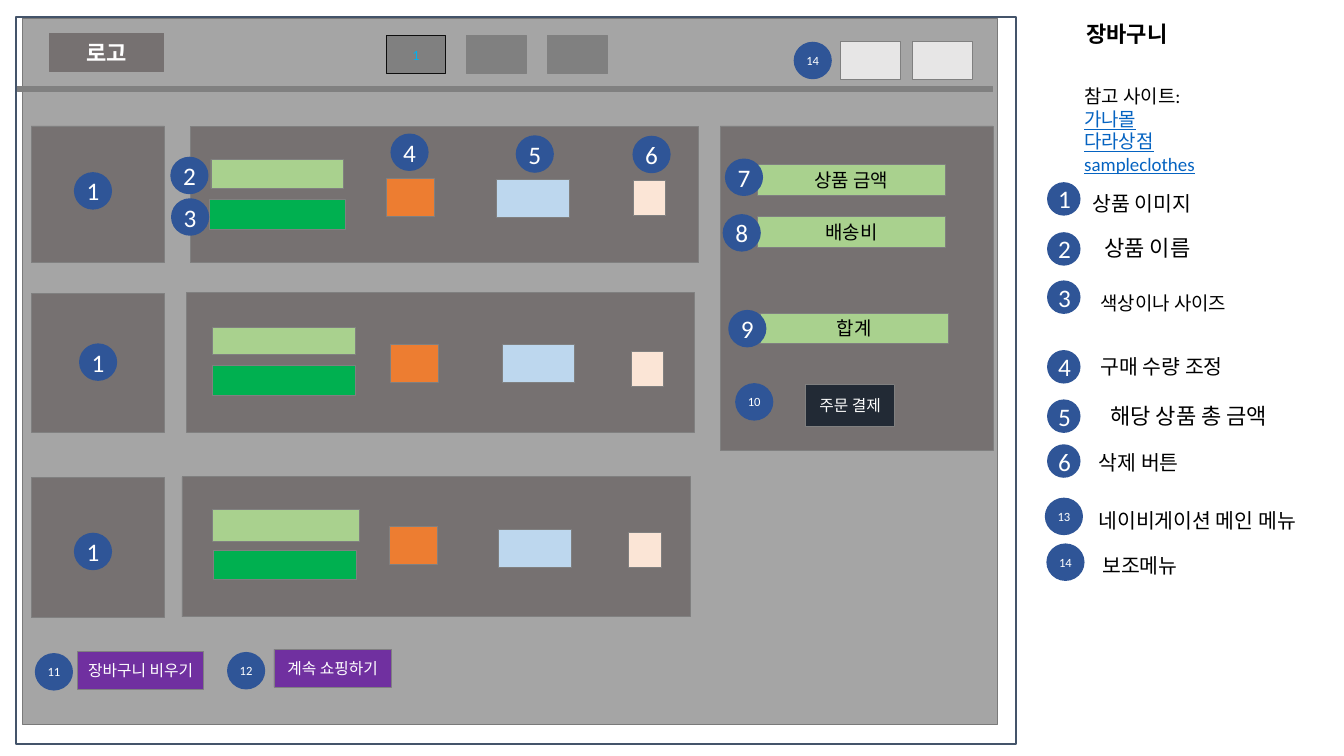
import typing

import lxml.etree
import pptx
import pptx.dml.color
import pptx.enum.shapes
import pptx.enum.text
import pptx.oxml.ns
import pptx.util

Cm, Pt = pptx.util.Cm, pptx.util.Pt
RGB = pptx.dml.color.RGBColor
Align = pptx.enum.text.PP_ALIGN
Anchor = pptx.enum.text.MSO_ANCHOR
Preset = pptx.enum.shapes.MSO_SHAPE

BLACK = RGB(0x00, 0x00, 0x00)
WHITE = RGB(0xFF, 0xFF, 0xFF)
PAGE_GRAY = RGB(0xA5, 0xA5, 0xA5)
PAGE_EDGE = RGB(0x7A, 0x7A, 0x7A)
FRAME_NAVY = RGB(0x44, 0x54, 0x6A)
PANEL_GRAY = RGB(0x76, 0x71, 0x71)
MID_GRAY = RGB(0x80, 0x80, 0x80)
MENU_GRAY = RGB(0xE7, 0xE6, 0xE6)
NAV_EDGE = RGB(0x0D, 0x0D, 0x0D)
NAV_TEXT = RGB(0x00, 0xB0, 0xF0)
BADGE_BLUE = RGB(0x2F, 0x55, 0x97)
NAME_GREEN = RGB(0xA9, 0xD1, 0x8E)
OPTION_GREEN = RGB(0x00, 0xB0, 0x50)
QUANTITY_ORANGE = RGB(0xED, 0x7D, 0x31)
PRICE_BLUE = RGB(0xBD, 0xD7, 0xEE)
DELETE_PEACH = RGB(0xFB, 0xE5, 0xD6)
BUTTON_PURPLE = RGB(0x70, 0x30, 0xA0)
PAY_NAVY = RGB(0x22, 0x2A, 0x35)
LINK_BLUE = RGB(0x05, 0x63, 0xC1)


class Box(typing.NamedTuple):
    """Left, top, width and height in centimetres."""
    left: float
    top: float
    width: float
    height: float

    def lengths(self) -> list:
        """Return the four values as lengths."""
        return [Cm(value) for value in self]


class CartRow(typing.NamedTuple):
    """Places of the parts of one product in the cart."""
    image: Box
    image_badge: tuple
    panel: Box
    name: Box
    option: Box
    quantity: tuple
    price: tuple
    delete: tuple


class LegendEntry(typing.NamedTuple):
    """A numbered explanation beside the wireframe."""
    number: int
    badge: tuple
    diameter: tuple
    label: str
    place: Box
    size: int = 26
    align: Align = Align.LEFT
    wrap: bool = True


BADGE = (1.63, 1.6)
SMALL_BADGE = (1.42, 1.42)
MENU_ITEM = (2.67, 1.7)
AMOUNT = (8.43, 1.37)

CART_ROWS = [
    CartRow(Box(1.4, 5.64, 5.97, 6.12), (3.35, 7.75), Box(8.53, 5.66, 22.76, 6.1),
            Box(9.45, 7.14, 5.94, 1.3), Box(9.4, 8.94, 6.07, 1.32),
            (17.32, 8), (22.25, 8.03), (28.37, 8.1)),
    CartRow(Box(1.4, 13.13, 5.97, 6.22), (3.58, 15.42), Box(8.36, 13.11, 22.76, 6.25),
            Box(9.53, 14.66, 6.4, 1.22), Box(9.53, 16.38, 6.4, 1.32),
            (17.48, 15.42), (22.5, 15.44), (28.27, 15.75)),
    CartRow(Box(1.4, 21.39, 5.97, 6.27), (3.35, 23.9), Box(8.15, 21.36, 22.76, 6.27),
            Box(9.53, 22.83, 6.58, 1.42), Box(9.55, 24.64, 6.4, 1.32),
            (17.45, 23.57), (22.33, 23.72), (28.17, 23.85)),
]

PART_BADGES = {
    2: (7.67, 7.06), 3: (7.7, 8.92), 4: (17.53, 6.02), 5: (23.14, 6.1),
    6: (28.37, 6.12), 7: (32.51, 7.14), 8: (32.41, 9.63), 9: (32.66, 13.92),
    10: (32.97, 17.2), 11: (1.6, 29.29), 12: (10.21, 29.24), 14: (35.59, 1.91),
}

LEGEND = [
    LegendEntry(1, (46.94, 8.2), SMALL_BADGE, "상품 이미지", Box(48.69, 8.43, 8.33, 1.37)),
    LegendEntry(2, (46.94, 10.44), SMALL_BADGE, "상품 이름",
                Box(48.54, 10.39, 5.72, 1.45), 28, Align.CENTER),
    LegendEntry(3, (46.94, 12.6), SMALL_BADGE, "색상이나 사이즈",
                Box(48.77, 12.93, 6.68, 1.27), 24, Align.CENTER, False),
    LegendEntry(4, (46.94, 15.72), SMALL_BADGE, "구매 수량 조정", Box(49.05, 15.75, 9.12, 1.37)),
    LegendEntry(5, (46.94, 17.93), SMALL_BADGE, "해당 상품 총 금액",
                Box(48.54, 17.88, 9.42, 1.45), 28, Align.CENTER),
    LegendEntry(6, (46.94, 19.94), SMALL_BADGE, "삭제 버튼", Box(48.97, 20.02, 4.62, 1.37)),
    LegendEntry(13, (46.84, 22.33), BADGE, "네이비게이션 메인 메뉴", Box(48.95, 22.63, 10.9, 1.37)),
    LegendEntry(14, (46.91, 24.38), BADGE, "보조메뉴", Box(49.12, 24.66, 5.03, 1.37)),
]


def write(paragraph, text: str, *, size: float, color: RGB = BLACK, bold: bool = False,
          underline: bool = False, align: Align = Align.LEFT) -> None:
    """Add formatted text to a paragraph."""
    paragraph.alignment = align
    run = paragraph.add_run()
    run.text = text
    font = run.font
    font.name, font.size, font.bold, font.underline = "Calibri", Pt(size), bold, underline
    font.color.rgb = color


def draw(slide, box: Box, fill: typing.Optional[RGB], *, edge: RGB = MID_GRAY,
         edge_width: float = 1, preset: Preset = Preset.RECTANGLE, text: str = "",
         **text_format) -> None:
    """Draw a preset shape, with centred text if there is any."""
    shape = slide.shapes.add_shape(preset, *box.lengths())
    shape.shadow.inherit = False
    if fill is None:
        shape.fill.background()
    else:
        shape.fill.solid()
        shape.fill.fore_color.rgb = fill
    shape.line.color.rgb = edge
    shape.line.width = Pt(edge_width)
    if text:
        shape.text_frame.vertical_anchor = Anchor.MIDDLE
        write(shape.text_frame.paragraphs[0], text, align=Align.CENTER, **text_format)


def draw_badge(slide, number: int, place: tuple, diameter: tuple = BADGE) -> None:
    """Draw a numbered circle; two digits are set smaller."""
    draw(slide, Box(*place, *diameter), BADGE_BLUE, edge=BADGE_BLUE, edge_width=2.25,
         preset=Preset.OVAL, text=str(number), size=32 if number < 10 else 16, color=WHITE)


def draw_header(slide) -> None:
    """Draw the page, its frame, the logo field and both menus."""
    draw(slide, Box(1, 0.81, 43.66, 31.62), PAGE_GRAY, edge=PAGE_EDGE)
    draw(slide, Box(0.71, 0.76, 44.81, 32.56), None, edge=FRAME_NAVY, edge_width=3)
    draw(slide, Box(2.21, 1.5, 5.13, 1.7), PANEL_GRAY, edge=PANEL_GRAY,
         text="로고", size=28, color=WHITE, bold=True)
    draw(slide, Box(0.79, 3.86, 43.66, 0.25), MID_GRAY)
    draw(slide, Box(17.3, 1.6, *MENU_ITEM), MID_GRAY, edge=NAV_EDGE,
         text="1", size=18, color=NAV_TEXT)
    for left in (20.9, 24.54):
        draw(slide, Box(left, 1.6, *MENU_ITEM), MID_GRAY)
    for left in (37.64, 40.89):
        draw(slide, Box(left, 1.85, *MENU_ITEM), MENU_GRAY)


def draw_cart_row(slide, row: CartRow) -> None:
    """Draw one product with its controls."""
    for box, fill in ((row.image, PANEL_GRAY), (row.panel, PANEL_GRAY),
                      (row.name, NAME_GREEN), (row.option, OPTION_GREEN),
                      (Box(*row.quantity, 2.16, 1.7), QUANTITY_ORANGE),
                      (Box(*row.price, 3.25, 1.7), PRICE_BLUE),
                      (Box(*row.delete, 1.45, 1.57), DELETE_PEACH)):
        draw(slide, box, fill)
    draw_badge(slide, 1, row.image_badge)


def draw_order(slide) -> None:
    """Draw the order summary and the buttons."""
    draw(slide, Box(32.26, 5.64, 12.22, 14.53), PANEL_GRAY)
    for label, left, top in (("상품 금액", 33.91, 7.37), ("배송비", 33.93, 9.7),
                             ("합계", 34.04, 14.02)):
        draw(slide, Box(left, top, *AMOUNT), NAME_GREEN, text=label, size=24)
    for label, box, fill in (("주문 결제", Box(36.09, 17.2, 3.99, 1.91), PAY_NAVY),
                             ("장바구니 비우기", Box(3.48, 29.18, 5.64, 1.7), BUTTON_PURPLE),
                             ("계속 쇼핑하기", Box(12.27, 29.08, 5.26, 1.7), BUTTON_PURPLE)):
        draw(slide, box, fill, text=label, size=20, color=WHITE)


def place_placeholder(placeholder, box: Box):
    """Move a placeholder and return its text frame, anchored at the top."""
    placeholder.left, placeholder.top, placeholder.width, placeholder.height = box.lengths()
    frame = placeholder.text_frame
    frame.auto_size = pptx.enum.text.MSO_AUTO_SIZE.NONE
    frame.vertical_anchor = Anchor.TOP
    return frame


def write_heading(slide) -> None:
    """Fill the title and the list of reference sites."""
    title = place_placeholder(slide.shapes.title, Box(48.41, 0.81, 4.95, 1.45))
    write(title.paragraphs[0], "장바구니", size=28, bold=True)
    sites = place_placeholder(slide.placeholders[1], Box(48.31, 3.66, 9.83, 4.37))
    for index, text in enumerate(("참고 사이트:", "가나몰", "다라상점", "sampleclothes")):
        paragraph = sites.add_paragraph() if index else sites.paragraphs[0]
        paragraph.space_before = Pt(0)
        write(paragraph, text, size=24, color=LINK_BLUE if index else BLACK,
              underline=index > 0)
        properties = paragraph._p.get_or_add_pPr()
        properties.set("marL", "0")
        properties.set("indent", "0")
        lxml.etree.SubElement(properties, pptx.oxml.ns.qn("a:buNone"))


def draw_legend_entry(slide, entry: LegendEntry) -> None:
    """Draw a legend badge and its label."""
    draw_badge(slide, entry.number, entry.badge, entry.diameter)
    frame = slide.shapes.add_textbox(*entry.place.lengths()).text_frame
    frame.word_wrap = entry.wrap
    write(frame.paragraphs[0], entry.label, size=entry.size, align=entry.align)


def main() -> None:
    """Build the cart wireframe slide."""
    deck = pptx.Presentation()
    deck.slide_width, deck.slide_height = Cm(60.2), Cm(33.86)
    slide = deck.slides.add_slide(deck.slide_layouts[1])
    write_heading(slide)
    draw_header(slide)
    for row in CART_ROWS:
        draw_cart_row(slide, row)
    draw_order(slide)
    for number, place in PART_BADGES.items():
        draw_badge(slide, number, place)
    for entry in LEGEND:
        draw_legend_entry(slide, entry)
    deck.save("out.pptx")


main()
